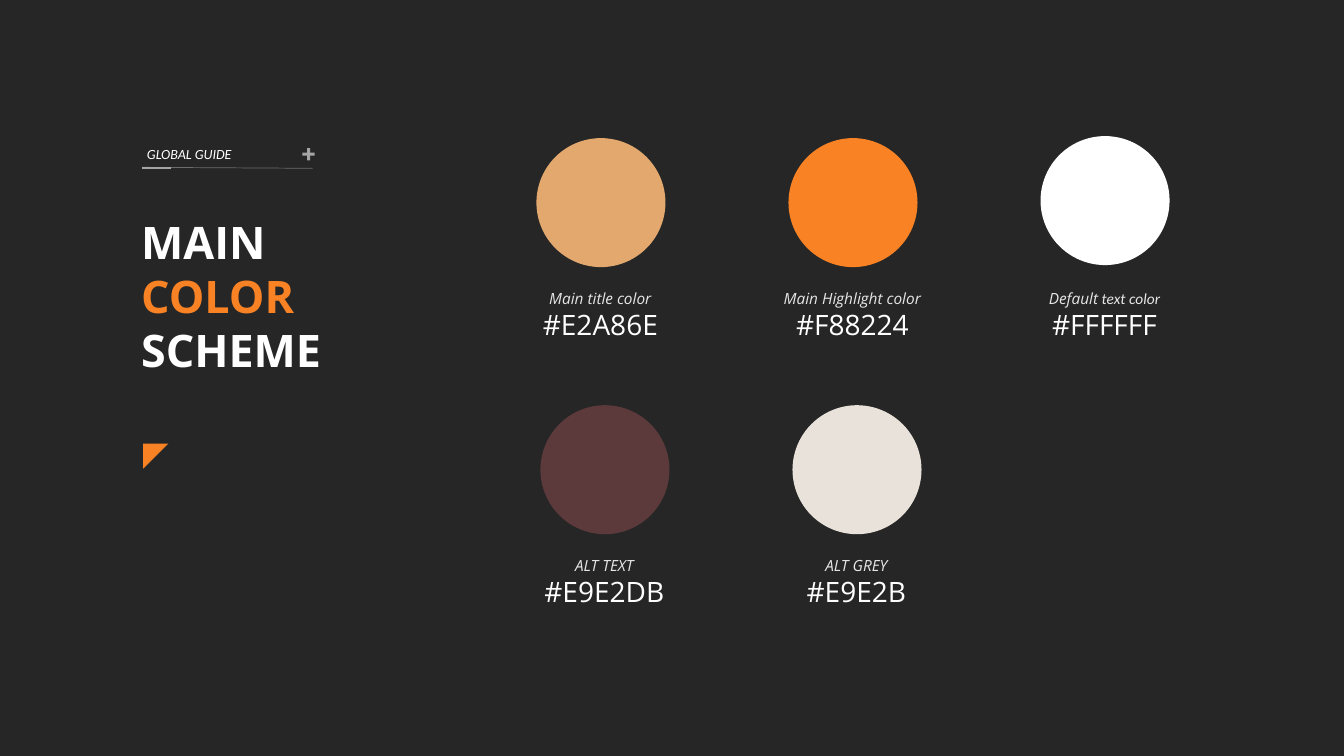
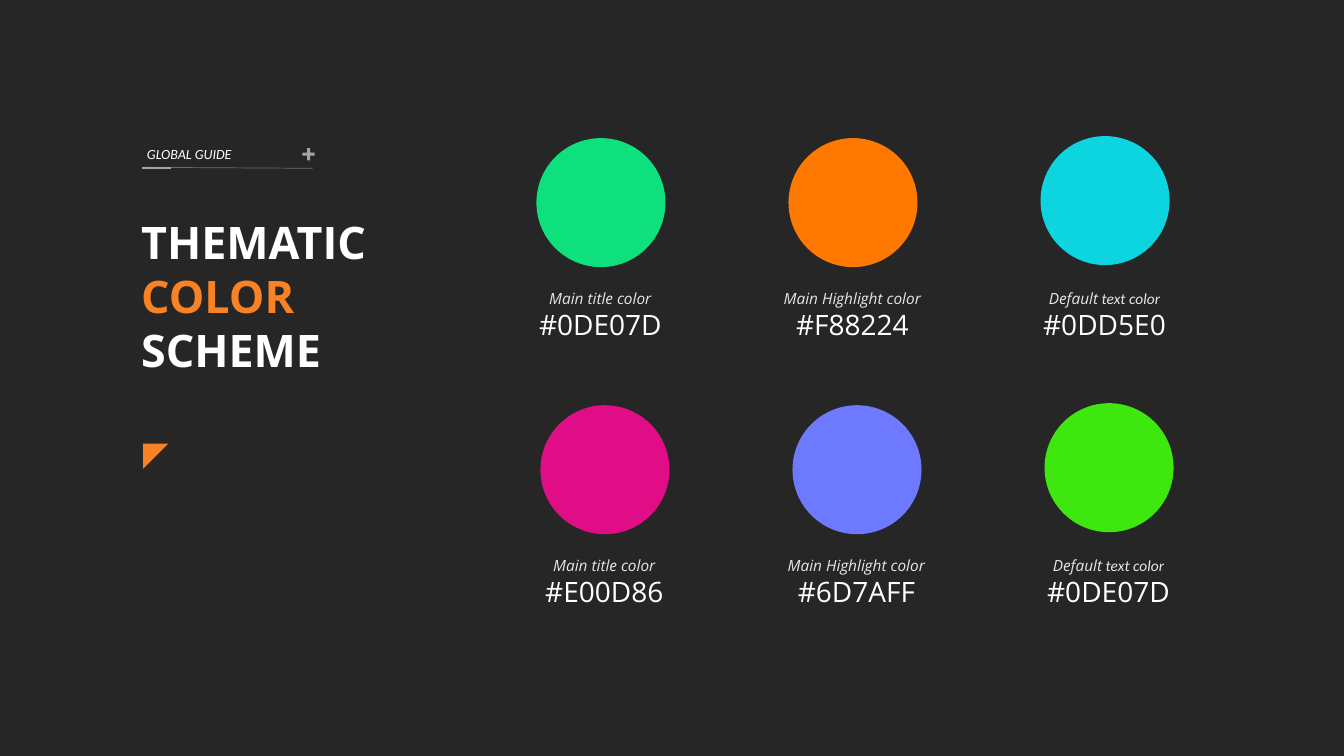
from lxml import etree
from pptx import Presentation
from pptx.dml.color import RGBColor
from pptx.enum.shapes import MSO_CONNECTOR as CONN, MSO_SHAPE as SHAPE
from pptx.enum.text import MSO_ANCHOR as ANCHOR, MSO_AUTO_SIZE as FIT, PP_ALIGN as ALIGN
from pptx.oxml.ns import qn
from pptx.util import Emu, Pt

PX = 9144
DARK, WHITE, ORANGE = "262626", "FFFFFF", "F88224"
PALE, SILVER, GREY = "E6E6E6", "D9D9D9", "A5A5A5"
SANS, PLAIN = "Open Sans", "Calibri"
TITLE = {"name": SANS, "size": Pt(32), "bold": True, "italic": False}
TAG = {"name": PLAIN, "size": Pt(10), "bold": False, "italic": True}
ROLE = {"name": SANS, "size": Pt(11), "bold": False, "italic": True}
CODE = {"name": SANS, "size": Pt(20), "bold": False, "italic": False}

DIAMETER, LABEL_WIDTH, LABEL_HEIGHT, LABEL_DROP = 128, 157, 62, 145
COLUMN_PITCH, ROW_PITCH, ROW_SHIFT, LAST_RAISE = 250, 265, 4, 2

SCHEMES = [
    ("MAIN", [
        [("E2A86E", "Main title color", "#E2A86E"),
         ("F88224", "Main Highlight color", "#F88224"),
         ("FFFFFF", "Default| text color", "#FFFFFF")],
        [("5C3A3B", "ALT TEXT", "#E9E2DB"),
         ("E9E2DB", "ALT GREY", "#E9E2B")],
    ]),
    ("THEMATIC", [
        [("0DE07D", "Main title color", "#0DE07D"),
         ("FF7800", "Main Highlight color", "#F88224"),
         ("0DD5E0", "Default| text color", "#0DD5E0")],
        [("E00D86", "Main title color", "#E00D86"),
         ("6D7AFF", "Main Highlight color", "#6D7AFF"),
         ("3EE70D", "Default| text color", "#0DE07D")],
    ]),
]


def px(*lengths):
    """Turn px lengths into EMU."""
    return [Emu(n * PX) for n in lengths]


def rgb(value):
    """Turn a hex string into a colour."""
    return RGBColor.from_string(value)


def add_run(p, text, style, colour):
    """Append a run with the given font values and colour."""
    r = p.add_run()
    r.text = text
    for key, value in style.items():
        setattr(r.font, key, value)
    r.font.color.rgb = rgb(colour)


def set_frame(tf):
    """Give a text frame the unwrapped, growing format."""
    values = {"word_wrap": False, "auto_size": FIT.SHAPE_TO_FIT_TEXT,
              "vertical_anchor": ANCHOR.TOP}
    for key, value in values.items():
        setattr(tf, key, value)


def add_text(s, *box):
    """Add a text box and return its frame."""
    tf = s.shapes.add_textbox(*px(*box)).text_frame
    set_frame(tf)
    return tf


def add_solid(s, kind, colour, *box):
    """Add a flat preset shape without an outline."""
    sp = s.shapes.add_shape(kind, *px(*box))
    sp.shadow.inherit = False
    sp.fill.solid()
    sp.fill.fore_color.rgb = rgb(colour)
    sp.line.fill.background()
    return sp


def add_line(s, colour, width, *ends, alpha=100):
    """Add a straight line with an opacity in percent."""
    line = s.shapes.add_connector(CONN.STRAIGHT, *px(*ends))
    line.line.width = Pt(width)
    line.line.color.rgb = rgb(colour)
    props = line._element.spPr
    if alpha < 100:
        clr = next(props.iter(qn("a:srgbClr")))
        etree.SubElement(clr, qn("a:alpha")).set("val", str(alpha * 1000))
    etree.SubElement(props, qn("a:effectLst"))


def add_title(s, first, left, top):
    """Fill the title placeholder with its three lines."""
    title = s.shapes.title
    title.left, title.top, title.width, title.height = px(left, top, 248, 172)
    tf = title.text_frame
    set_frame(tf)
    p = tf.paragraphs[0]
    add_run(p, first, TITLE, WHITE)
    q = tf.add_paragraph()
    add_run(q, "COLOR", TITLE, ORANGE)
    q.add_line_break()
    add_run(q, "SCHEME", TITLE, WHITE)
    for p in tf.paragraphs:
        p.alignment = ALIGN.LEFT


def add_heading(s, first, left, top):
    """Place the tag, rule, title and corner mark."""
    tf = add_text(s, left + 6, top, 106, 27)
    add_run(tf.paragraphs[0], "GLOBAL GUIDE", TAG, WHITE)
    rule = left + 11
    add_line(s, SILVER, 0.5, left + 180, top + 28, rule, top + 27, alpha=40)
    add_line(s, GREY, 1.25, left + 40, top + 28, rule, top + 28)
    plus = add_solid(s, SHAPE.CROSS, GREY, left + 170, top + 8, 12, 12)
    plus.adjustments[0] = 0.375
    add_title(s, first, left, top + 69)
    add_solid(s, SHAPE.RIGHT_TRIANGLE, ORANGE, left + 12, top + 301, 25, 25).rotation = 90


def add_swatch(s, swatch, left, top, lift):
    """Place a colour disc with its role and code below."""
    colour, role, code = swatch
    add_solid(s, SHAPE.OVAL, colour, left, top - lift, DIAMETER, DIAMETER)
    label_left = left + (DIAMETER - LABEL_WIDTH) // 2
    tf = add_text(s, label_left, top + LABEL_DROP, LABEL_WIDTH, LABEL_HEIGHT)
    p = tf.paragraphs[0]
    for text, font in zip(role.split("|"), (SANS, PLAIN)):
        add_run(p, text, {**ROLE, "name": font}, PALE)
    add_run(tf.add_paragraph(), code, CODE, WHITE)
    for p in tf.paragraphs:
        p.alignment = ALIGN.CENTER


def add_palette(s, rows, left, top):
    """Lay out the swatches in rows of up to three."""
    for i, row in enumerate(rows):
        for j, swatch in enumerate(row):
            add_swatch(s, swatch, left + j * COLUMN_PITCH + i * ROW_SHIFT,
                       top + i * ROW_PITCH, LAST_RAISE if j == 2 else 0)


def add_scheme_slide(prs, first, rows):
    """Add a slide showing one colour scheme."""
    s = prs.slides.add_slide(prs.slide_layouts[5])
    add_heading(s, first, 130, 139)
    add_palette(s, rows, 532, 137)


def main():
    """Build and save the presentation."""
    prs = Presentation()
    prs.slide_width, prs.slide_height = px(1333, 750)
    fill = prs.slide_master.background.fill
    fill.solid()
    fill.fore_color.rgb = rgb(DARK)
    for first, rows in SCHEMES:
        add_scheme_slide(prs, first, rows)
    prs.save("out.pptx")


if __name__ == "__main__":
    main()
